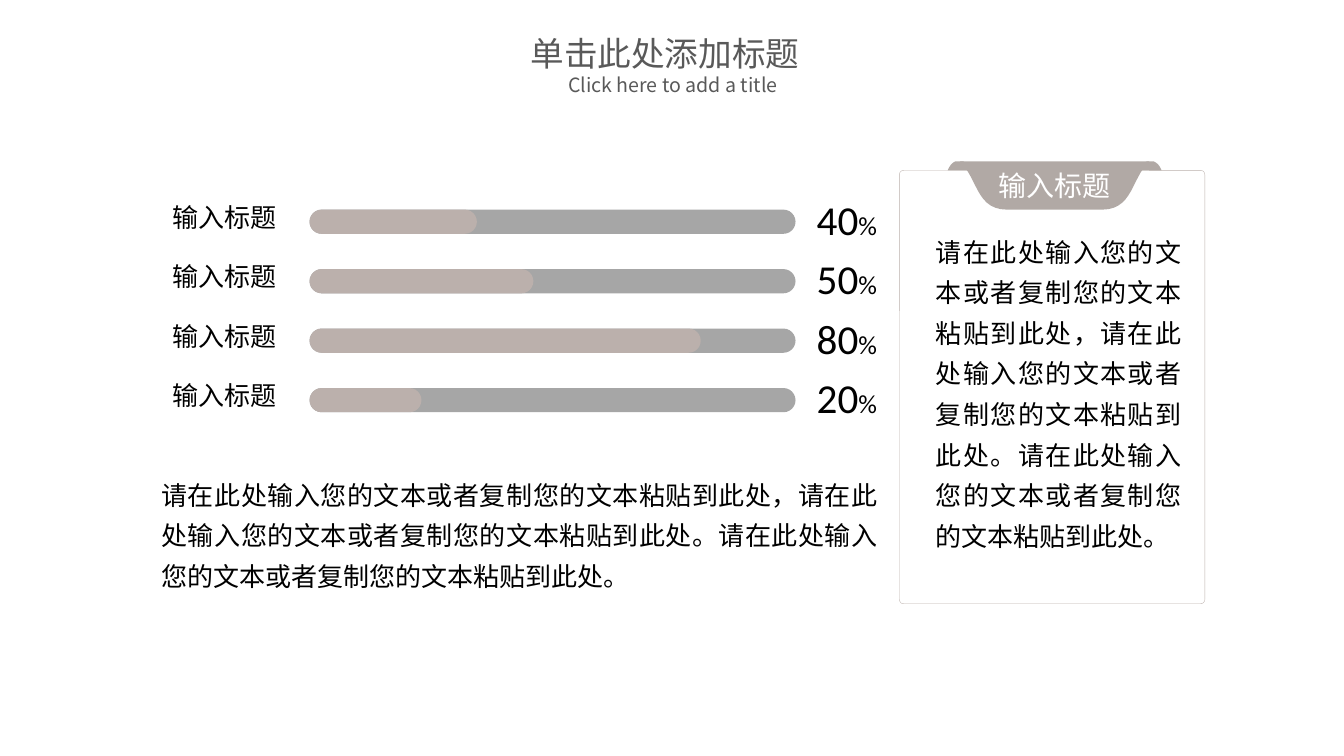
from pptx import Presentation
from pptx.dml.color import RGBColor
from pptx.enum.shapes import MSO_SHAPE
from pptx.enum.text import MSO_ANCHOR, PP_ALIGN
from pptx.oxml.ns import qn
from pptx.util import Inches, Pt
from lxml import etree

ROUNDED = MSO_SHAPE.ROUNDED_RECTANGLE
TOP, MIDDLE = MSO_ANCHOR.TOP, MSO_ANCHOR.MIDDLE
LEFT, CENTER, RIGHT, JUSTIFY = PP_ALIGN.LEFT, PP_ALIGN.CENTER, PP_ALIGN.RIGHT, PP_ALIGN.JUSTIFY

CJK, LATIN = "Noto Sans CJK SC", "Calibri"
BLACK, WHITE, GREY = "000000", "FFFFFF", "595959"
TRACK, PROGRESS, TAB = "A6A6A6", "BBB0AC", "B1A9A5"
INSETS = (0.12, 0.06)

LABEL = "输入标题"
BODY = ("请在此处输入您的文本或者复制您的文本粘贴到此处，"
        "请在此处输入您的文本或者复制您的文本粘贴到此处。"
        "请在此处输入您的文本或者复制您的文本粘贴到此处。")
# Percentage shown and length of the filled part
BARS = [("40", 1.66), ("50", 2.22), ("80", 3.88), ("20", 1.11)]
BAR_LEFT, BAR_TOP, BAR_WIDTH, BAR_HEIGHT = 3.07, 2.08, 4.82, 0.24
ROW_STEP = 0.59


def rgb(color):
    return RGBColor.from_string(color)


def add_run(paragraph, text, size=18.6, font=CJK, color=BLACK):
    run = paragraph.add_run()
    run.text = text
    run.font.size = Pt(size)
    run.font.name = font
    run.font.color.rgb = rgb(color)
    east_asian = etree.SubElement(run._r.get_or_add_rPr(), qn("a:ea"))
    east_asian.set("typeface", CJK)


def set_frame(frame, anchor=TOP, insets=INSETS):
    frame.word_wrap = True
    frame.vertical_anchor = anchor
    frame.margin_left = frame.margin_right = Inches(insets[0])
    frame.margin_top = frame.margin_bottom = Inches(insets[1])


def add_text(slide, box, text, align=LEFT, anchor=MIDDLE, insets=INSETS,
             spacing=None, **font):
    """Add a text box and return its first paragraph."""
    frame = slide.shapes.add_textbox(*map(Inches, box)).text_frame
    set_frame(frame, anchor, insets)
    paragraph = frame.paragraphs[0]
    paragraph.alignment = align
    if spacing:
        paragraph.line_spacing = spacing
    add_run(paragraph, text, **font)
    return paragraph


def add_rounded(slide, box, radius, fill=None, line=None):
    shape = slide.shapes.add_shape(ROUNDED, *map(Inches, box))
    shape.shadow.inherit = False
    shape.adjustments[0] = radius
    if fill:
        shape.fill.solid()
        shape.fill.fore_color.rgb = rgb(fill)
    else:
        shape.fill.background()
    if line:
        shape.line.color.rgb = rgb(line)
        shape.line.width = Pt(0.25)
    else:
        shape.line.fill.background()


def curve(start, control1, control2, end, steps=12):
    """Return points along a cubic curve, without its start."""
    points = []
    for step in range(1, steps + 1):
        t = step / steps
        weights = ((1 - t) ** 3, 3 * t * (1 - t) ** 2, 3 * t * t * (1 - t), t ** 3)
        points.append(tuple(
            sum(w * p for w, p in zip(weights, axis))
            for axis in zip(start, control1, control2, end)))
    return points


def add_outline(slide, points):
    (start_x, start_y), *rest = [(Inches(x), Inches(y)) for x, y in points]
    builder = slide.shapes.build_freeform(start_x, start_y)
    builder.add_line_segments(rest, close=True)
    shape = builder.convert_to_shape()
    shape.shadow.inherit = False
    shape.fill.solid()
    shape.fill.fore_color.rgb = rgb(TAB)
    shape.line.fill.background()
    return shape


def add_ear(slide, left, width):
    """Add the folded corner behind one end of the tab."""
    right, top, bottom, shoulder = left + width, 1.6, 1.69, 0.08
    add_outline(slide, [
        (left, bottom),
        *curve((left, bottom), (left + 0.02, 1.64), (left + 0.05, 1.61), (left + shoulder, top)),
        (right - shoulder, top),
        *curve((right - shoulder, top), (right - 0.04, 1.62), (right - 0.02, 1.64), (right, bottom)),
    ])


def add_tab(slide):
    add_ear(slide, 9.4, 0.23)
    add_ear(slide, 11.3, 0.22)
    tab = add_outline(slide, [
        (9.52, 1.6), (11.4, 1.6), (11.34, 1.67),
        *curve((11.34, 1.67), (11.22, 1.84), (11.2, 2.08), (10.93, 2.08)),
        (9.99, 2.08),
        *curve((9.99, 2.08), (9.71, 2.08), (9.7, 1.83), (9.57, 1.66)),
    ])
    set_frame(tab.text_frame, MIDDLE)
    paragraph = tab.text_frame.paragraphs[0]
    paragraph.alignment = CENTER
    add_run(paragraph, LABEL, size=20, color=WHITE)


def add_title(slide):
    title = add_text(slide, (3.88, 0.38, 5.43, 0.52), "单击此处添加标题", align=CENTER,
                     insets=(0.1, 0.05), size=24, color=GREY)
    subtitle = slide.shapes[-1].text_frame.add_paragraph()
    subtitle.alignment = title.alignment
    subtitle._p.get_or_add_pPr().set("marL", str(Inches(0.16)))
    add_run(subtitle, "Click here to add a title", size=14, color=GREY)


def add_bar(slide, row, percent, filled):
    offset = row * ROW_STEP
    for width, color in ((BAR_WIDTH, TRACK), (filled, PROGRESS)):
        add_rounded(slide, (BAR_LEFT, BAR_TOP + offset, width, BAR_HEIGHT), 0.5, fill=color)
    add_text(slide, (1.53, 1.95 + offset, 1.33, 0.4), LABEL, align=RIGHT)
    value = add_text(slide, (8.1, 1.98 + offset, 1.05, 0.38), percent,
                     insets=(0, 0), size=29.4, font=LATIN)
    add_run(value, "%", font=LATIN)


def add_body(slide, box):
    add_text(slide, box, BODY, align=JUSTIFY, anchor=TOP, spacing=1.3)


def main():
    prs = Presentation()
    prs.slide_width, prs.slide_height = Inches(13.33), Inches(7.5)
    slide = prs.slides.add_slide(prs.slide_layouts[6])
    add_title(slide)
    for row, (percent, filled) in enumerate(BARS):
        add_bar(slide, row, percent, filled)
    add_body(slide, (1.48, 4.6, 7.35, 1.39))
    add_rounded(slide, (8.92, 1.69, 3.03, 4.3), 0.014, line=PROGRESS)
    add_tab(slide)
    add_body(slide, (9.16, 2.19, 2.68, 3.64))
    prs.save("out.pptx")


if __name__ == "__main__":
    main()
